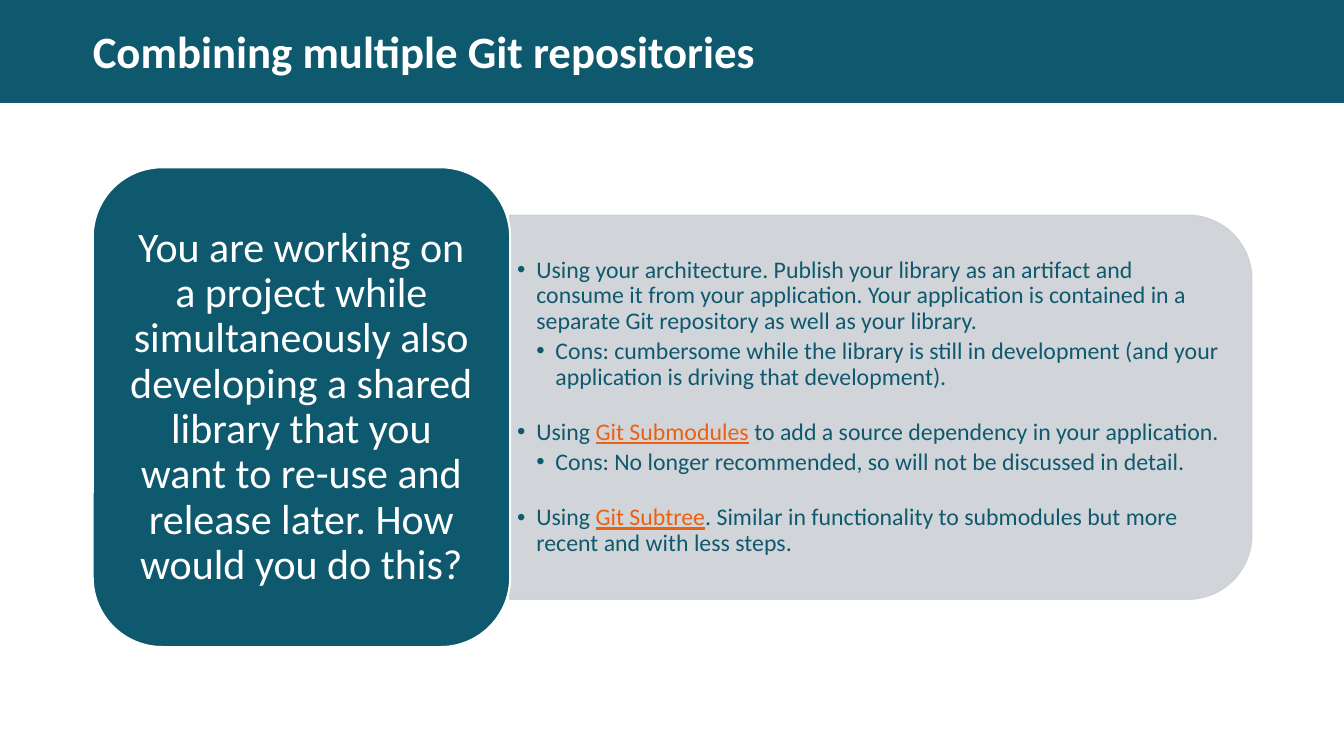
from dataclasses import dataclass

from lxml import etree
from pptx import Presentation
from pptx import util as u
from pptx.dml.color import RGBColor
from pptx.enum import shapes, text
from pptx.oxml.ns import qn


@dataclass(frozen=True)
class Theme:
    font: str = "Calibri"
    teal: str = "0F596E"
    grey: str = "CCD1D5"
    white: str = "FFFFFF"
    link: str = "EB6011"
    title: int = 32
    question: int = 30
    body: int = 17
    line_spacing: float = 0.9
    indent: float = 0.19
    item_gap: float = 3
    group_gap: float = 21.2


def add_run(p, content, *, font, size, color, bold=False, underline=False):
    r = p.add_run()
    r.text = content
    r.font.name = font
    r.font.size = u.Pt(size)
    r.font.bold = bold
    r.font.underline = underline
    r.font.color.rgb = RGBColor.from_string(color)
    return r


class SlideBuilder:
    def __init__(self, prs, theme):
        self.t = theme
        self.s = prs.slides.add_slide(prs.slide_layouts[5])

    def shape(self, kind, box, fill, line=None, width=1, alpha=None, rotation=0):
        sp = self.s.shapes.add_shape(kind, *map(u.Inches, box))
        sp.shadow.inherit = False
        sp.rotation = rotation
        sp.fill.solid()
        sp.fill.fore_color.rgb = RGBColor.from_string(fill)
        if line:
            sp.line.color.rgb = RGBColor.from_string(line)
            sp.line.width = u.Pt(width)
        else:
            sp.line.fill.background()
        if alpha:
            for color in sp._element.spPr.iter(qn("a:srgbClr")):
                etree.SubElement(color, qn("a:alpha"), val=str(alpha * 1000))
        return sp

    def frame(self, sp, inset_x=0, inset_y=0):
        tf = sp.text_frame
        tf.word_wrap = True
        tf.auto_size = text.MSO_AUTO_SIZE.NONE
        tf.vertical_anchor = text.MSO_ANCHOR.MIDDLE
        tf.margin_left = tf.margin_right = u.Inches(inset_x)
        tf.margin_top = tf.margin_bottom = u.Inches(inset_y)
        return tf

    def paragraph(self, p, content, size, color, align=text.PP_ALIGN.LEFT, bold=False):
        p.alignment = align
        p.line_spacing = self.t.line_spacing
        add_run(p, content, font=self.t.font, size=size, color=color, bold=bold)

    def title(self, content, box):
        sp = self.s.shapes.title
        sp.left, sp.top, sp.width, sp.height = map(u.Inches, box)
        p = self.frame(sp).paragraphs[0]
        self.paragraph(p, content, self.t.title, self.t.white, bold=True)
        tree = self.s.shapes._spTree
        tree.remove(sp._element)
        tree.append(sp._element)

    def question(self, content, box):
        sp = self.shape(shapes.MSO_SHAPE.ROUNDED_RECTANGLE, box, self.t.teal,
                        line=self.t.white, width=1.5)
        p = self.frame(sp, 0.12, 0.06).paragraphs[0]
        self.paragraph(p, content, self.t.question, self.t.white, text.PP_ALIGN.CENTER)

    def bullets(self, items, box):
        tf = self.frame(self.s.shapes.add_textbox(*map(u.Inches, box)), 0.07, 0.04)
        for i, (level, gap, runs) in enumerate(items):
            p = tf.add_paragraph() if i else tf.paragraphs[0]
            p.level = level
            p.alignment = text.PP_ALIGN.LEFT
            p.line_spacing = self.t.line_spacing
            p.space_after = u.Pt(gap)
            pPr = p._p.get_or_add_pPr()
            pPr.set("marL", str(u.Inches(self.t.indent * (level + 1))))
            pPr.set("indent", str(-u.Inches(self.t.indent)))
            etree.SubElement(pPr, qn("a:buFont"), typeface="Arial")
            etree.SubElement(pPr, qn("a:buChar"), char="•")
            for content, is_link in runs:
                add_run(p, content, font=self.t.font, size=self.t.body,
                        color=self.t.link if is_link else self.t.teal,
                        underline=is_link)


def main():
    prs = Presentation()
    prs.slide_width, prs.slide_height = u.Inches(13.33), u.Inches(7.5)
    theme = Theme()
    slide = SlideBuilder(prs, theme)

    slide.shape(shapes.MSO_SHAPE.RECTANGLE, (0, 0, 13.33, 1.02), theme.teal)
    slide.title("Combining multiple Git repositories", (0.92, 0, 11.5, 1.08))

    slide.shape(shapes.MSO_SHAPE.ROUND_2_SAME_RECTANGLE, (6.83, 0.36, 3.81, 7.36),
                theme.grey, line=theme.grey, alpha=90, rotation=90)
    slide.bullets([
        (0, theme.item_gap, [
            ("Using your architecture. Publish your library as an artifact and consume "
             "it from your application. Your application is contained in a separate Git "
             "repository as well as your library.", False)]),
        (1, theme.group_gap, [
            ("Cons: cumbersome while the library is still in development (and your "
             "application is driving that development).", False)]),
        (0, theme.item_gap, [
            ("Using ", False), ("Git Submodules", True),
            (" to add a source dependency in your application.", False)]),
        (1, theme.group_gap, [
            ("Cons: No longer recommended, so will not be discussed in detail.", False)]),
        (0, 0, [
            ("Using ", False), ("Git Subtree", True),
            (". Similar in functionality to submodules but more recent and with less "
             "steps.", False)]),
    ], (5.06, 2.32, 7.17, 3.44))

    slide.question("You are working on a project while simultaneously also developing a "
                   "shared library that you want to re-use and release later. How would "
                   "you do this?", (0.92, 1.66, 4.14, 4.76))

    prs.save("out.pptx")


if __name__ == "__main__":
    main()
